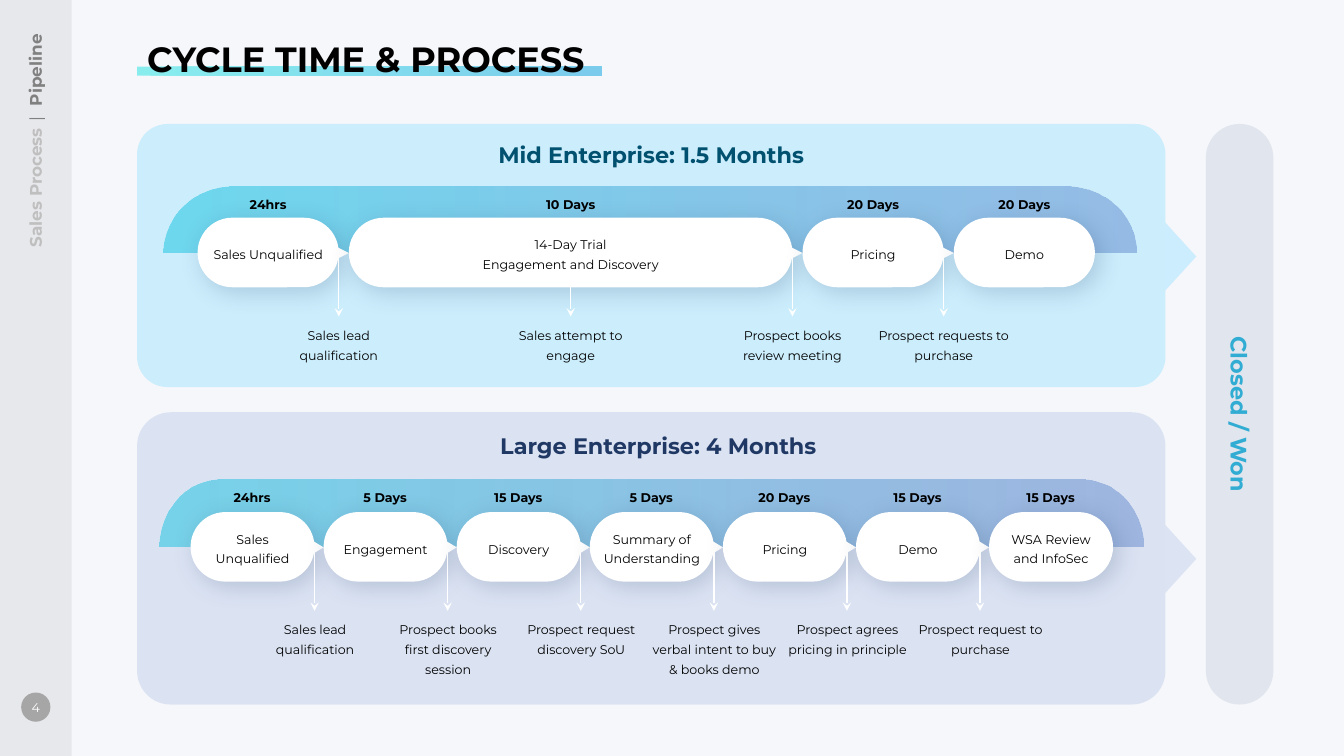
import dataclasses
import math

import lxml.etree
import pptx
import pptx.dml.color
import pptx.enum.dml
import pptx.enum.shapes
import pptx.enum.text
import pptx.oxml.ns
import pptx.shapes.autoshape
import pptx.shapes.base
import pptx.slide
import pptx.util

PX = 9144
FONT = "Montserrat"
MSO = pptx.enum.shapes.MSO_SHAPE
ALIGN = pptx.enum.text.PP_ALIGN
ANCHOR = pptx.enum.text.MSO_ANCHOR
qn = pptx.oxml.ns.qn
Shape = pptx.shapes.autoshape.Shape
Slide = pptx.slide.Slide


@dataclasses.dataclass
class Box:
    x: int
    y: int
    w: int
    h: int

    def emu(self) -> list[int]:
        return [v * PX for v in (self.x, self.y, self.w, self.h)]


@dataclasses.dataclass
class Step:
    days: str
    label: str
    exit_note: str = ""
    width: int = 0
    middle_note: str = ""


@dataclasses.dataclass
class Track:
    heading: str
    ink: str
    heading_box: Box
    panel: Box
    panel_fill: str
    pointer_y: int
    pointer_fill: str
    arch_left: int
    arch_right: int
    arch_top: int
    arch_radius: int
    pill_left: int
    pill_top: int
    pill_width: int
    gap: int
    tip: int
    steps: list[Step]


TRACKS = [
    Track("Large Enterprise: 4 Months", "203864", Box(484, 424, 338, 37),
          Box(136, 409, 1020, 290), "B4C7E7", 554, "DCE4F3",
          158, 1134, 476, 61, 189, 508, 123, 9, 10, [
              Step("24hrs", "Sales Unqualified", "Sales lead qualification"),
              Step("5 Days", "Engagement", "Prospect books first discovery session"),
              Step("15 Days", "Discovery", "Prospect request discovery SoU"),
              Step("5 Days", "Summary of Understanding",
                   "Prospect gives verbal intent to buy & books demo"),
              Step("20 Days", "Pricing", "Prospect agrees pricing in principle"),
              Step("15 Days", "Demo", "Prospect request to purchase"),
              Step("15 Days", "WSA Review and InfoSec"),
          ]),
    Track("Mid Enterprise: 1.5 Months", "00506F", Box(482, 135, 328, 37),
          Box(136, 123, 1020, 261), "8CDFFF", 254, "CCEDFD",
          162, 1127, 185, 69, 196, 216, 140, 10, 12, [
              Step("24hrs", "Sales Unqualified", "Sales lead qualification"),
              Step("10 Days", "14-Day Trial\nEngagement and Discovery",
                   "Prospect books review meeting", 440, "Sales attempt to engage"),
              Step("20 Days", "Pricing", "Prospect requests to purchase"),
              Step("20 Days", "Demo"),
          ]),
]


def rgb(value: str) -> pptx.dml.color.RGBColor:
    return pptx.dml.color.RGBColor.from_string(value)


def set_alpha(sp: Shape, *percents: int) -> None:
    for clr, percent in zip(sp.element.spPr.iter(qn("a:srgbClr")), percents):
        lxml.etree.SubElement(clr, qn("a:alpha"), val=str(percent * 1000))


def set_gradient(sp: Shape, start: str, end: str, *alphas: int) -> None:
    sp.fill.gradient()
    sp.fill.gradient_angle = 0
    for stop, color in zip(sp.fill.gradient_stops, (start, end)):
        stop.color.rgb = rgb(color)
    set_alpha(sp, *alphas)


def add_block(s: Slide, kind: MSO, box: Box, color: str, alpha: int = 100,
              adj: float | None = None, rotation: int = 0) -> Shape:
    sp = s.shapes.add_shape(kind, *box.emu())
    sp.shadow.inherit = False
    sp.line.fill.background()
    sp.fill.solid()
    sp.fill.fore_color.rgb = rgb(color)
    if alpha < 100:
        set_alpha(sp, alpha)
    if adj is not None:
        sp.adjustments[0] = adj
    sp.rotation = rotation
    return sp


def add_pointer(s: Slide, cx: int, cy: int, w: int, h: int, color: str) -> None:
    box = Box(cx - w // 2, cy - h // 2, w, h)
    add_block(s, MSO.ISOSCELES_TRIANGLE, box, color, rotation=90)


def set_text(sp: pptx.shapes.base.BaseShape, text: str, size: int, color: str,
             bold: bool = False, align: ALIGN = ALIGN.CENTER,
             anchor: ANCHOR = ANCHOR.MIDDLE, wrap: bool = True,
             leading: int = 0, inset: int = 10) -> None:
    tf = sp.text_frame
    tf.text = text
    tf.word_wrap = wrap
    tf.vertical_anchor = anchor
    tf.margin_left = tf.margin_right = inset * PX
    tf.margin_top = tf.margin_bottom = 5 * PX
    for p in tf.paragraphs:
        p.alignment = align
        if leading:
            p.line_spacing = pptx.util.Pt(leading)
        for r in p.runs:
            r.font.name = FONT
            r.font.size = pptx.util.Pt(size)
            r.font.bold = bold
            r.font.color.rgb = rgb(color)


def add_caption(s: Slide, box: Box, text: str, bold: bool, anchor: ANCHOR) -> None:
    sp = s.shapes.add_textbox(*box.emu())
    set_text(sp, text, 9, "000000", bold, anchor=anchor, leading=14, inset=0)


def add_pill(s: Slide, box: Box, label: str) -> None:
    sp = add_block(s, MSO.ROUNDED_RECTANGLE, box, "FFFFFF", adj=0.5)
    effects = sp.element.spPr.find(qn("a:effectLst"))
    shadow = lxml.etree.SubElement(effects, qn("a:outerShdw"), blurRad="228600",
                                   dist="63500", dir="2700000", rotWithShape="0")
    clr = lxml.etree.SubElement(shadow, qn("a:srgbClr"), val="203864")
    lxml.etree.SubElement(clr, qn("a:alpha"), val="20000")
    set_text(sp, label, 9, "000000", leading=14, inset=0)


def add_note(s: Slide, x: int, top: int, bottom: int, width: int, text: str) -> None:
    line = s.shapes.add_connector(pptx.enum.shapes.MSO_CONNECTOR.STRAIGHT,
                                  x * PX, top * PX, x * PX, bottom * PX)
    line.line.color.rgb = rgb("FFFFFF")
    line.line.width = pptx.util.Pt(1)
    lxml.etree.SubElement(line.line._get_or_add_ln(), qn("a:tailEnd"), type="stealth")
    lxml.etree.SubElement(line.element.spPr, qn("a:effectLst"))
    add_caption(s, Box(x - width // 2, bottom + 2, width, 48), text, False, ANCHOR.TOP)


def add_arch(s: Slide, track: Track, bottom: int) -> None:
    rise = bottom - track.arch_top
    angles = [math.radians(3 * i) for i in range(31)]
    corner = [(track.arch_radius * (1 - math.cos(a)), bottom - rise * math.sin(a))
              for a in angles]
    points = [(track.arch_left + dx, y) for dx, y in corner]
    points += [(track.arch_right - dx, y) for dx, y in reversed(corner)]
    points = [(round(x * PX), round(y * PX)) for x, y in points]
    builder = s.shapes.build_freeform(*points[0])
    builder.add_line_segments(points[1:])
    sp = builder.convert_to_shape()
    sp.shadow.inherit = False
    sp.line.fill.background()
    set_gradient(sp, "0FC3E0", "4472C4", 50, 40)


def add_track(s: Slide, track: Track) -> None:
    add_block(s, MSO.ROUNDED_RECTANGLE, track.panel, track.panel_fill, 40, 0.115)
    add_pointer(s, 1171, track.pointer_y, 68, 31, track.pointer_fill)
    heading = s.shapes.add_textbox(*track.heading_box.emu())
    set_text(heading, track.heading, 16, track.ink, True, anchor=ANCHOR.TOP, wrap=False)
    middle = track.pill_top + 34
    note_top = track.pill_top + 98
    add_arch(s, track, middle)
    x = track.pill_left
    for step in track.steps:
        width = step.width or track.pill_width
        center, end = x + width // 2, x + width
        add_caption(s, Box(center - 45, track.arch_top, 90, 31), step.days, True,
                    ANCHOR.MIDDLE)
        add_pill(s, Box(x, track.pill_top, width, 69), step.label)
        if step.middle_note:
            add_note(s, center, track.pill_top + 60, note_top, track.pill_width,
                     step.middle_note)
        if step.exit_note:
            add_note(s, end, middle, note_top, track.pill_width, step.exit_note)
            add_pointer(s, end + 4, middle + 1, 12, track.tip, "FFFFFF")
        x = end + track.gap


def add_sidebar(s: Slide) -> None:
    add_block(s, MSO.RECTANGLE, Box(0, 0, 71, 750), "404040", 8)
    badge = add_block(s, MSO.OVAL, Box(21, 687, 29, 29), "A6A6A6")
    set_text(badge, "4", 9, "FFFFFF", inset=0)
    sp = s.shapes.add_textbox(*Box(-85, 129, 240, 30).emu())
    sp.rotation = 270
    set_text(sp, "Sales Process", 12, "BFBFBF", True, ALIGN.RIGHT, ANCHOR.TOP, False)
    for text, bold in ((" | ", False), ("Pipeline", True)):
        r = sp.text_frame.paragraphs[0].add_run()
        r.text = text
        r.font.name = FONT
        r.font.size = pptx.util.Pt(12)
        r.font.bold = bold
        r.font.color.rgb = rgb("808080")
        if not bold:
            r.font._element.set("spc", "200")


def add_title(s: Slide) -> None:
    bar = add_block(s, MSO.RECTANGLE, Box(136, 66, 461, 9), "1DE5E2")
    set_gradient(bar, "1DE5E2", "00A0DE", 50, 50)
    title = s.shapes.title
    title.left, title.top, title.width, title.height = Box(136, 32, 461, 52).emu()
    set_text(title, "CYCLE TIME & PROCESS", 25, "000000", True, ALIGN.LEFT,
             ANCHOR.TOP, False)
    title.element.getparent().append(title.element)


def main() -> None:
    prs = pptx.Presentation()
    prs.slide_width, prs.slide_height = 1333 * PX, 750 * PX
    s = prs.slides.add_slide(prs.slide_layouts[5])
    s.background.fill.solid()
    s.background.fill.fore_color.rgb = rgb("F6F7FB")
    add_sidebar(s)
    add_title(s)
    for track in TRACKS:
        add_track(s, track)
    won = add_block(s, MSO.ROUNDED_RECTANGLE, Box(1196, 123, 67, 576), "E1E5ED", adj=0.5)
    set_text(won, "Closed / Won", 16, "31ACD3", True)
    won.text_frame._txBody.bodyPr.set("vert", "vert")
    prs.save("out.pptx")


if __name__ == "__main__":
    main()
